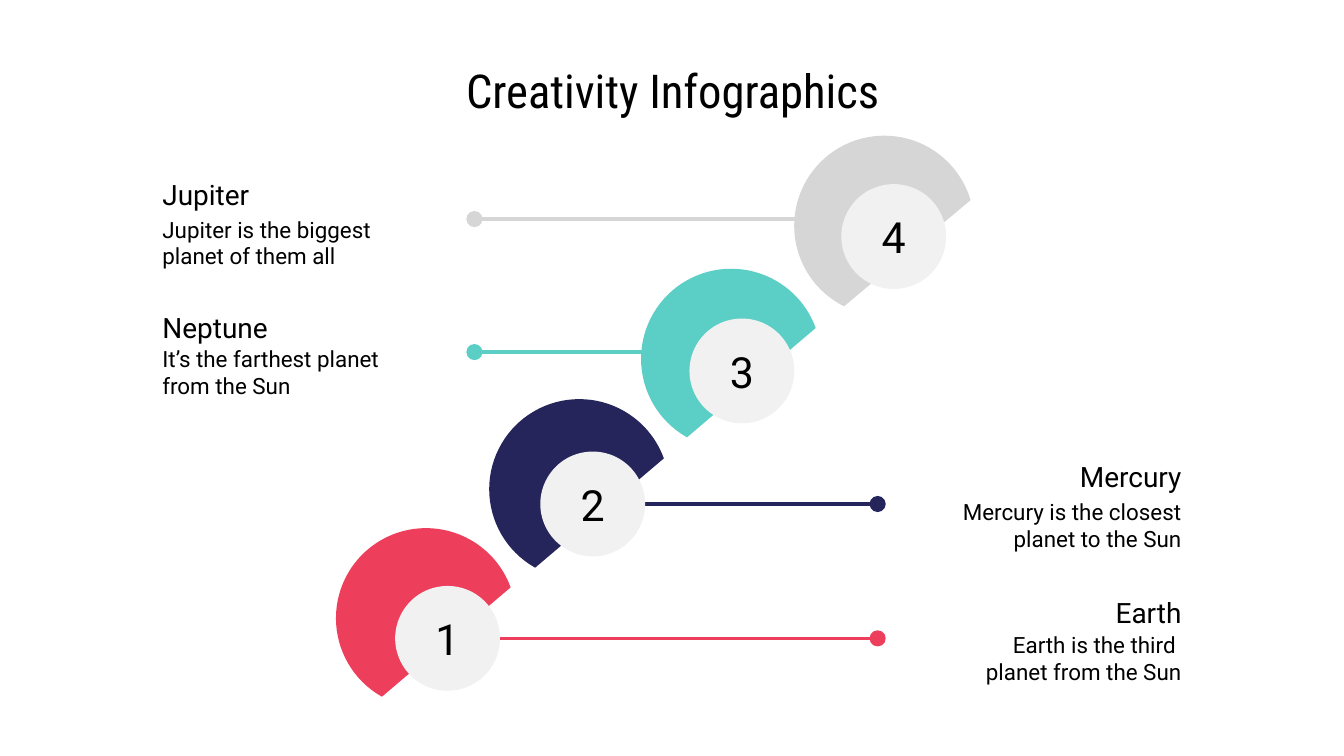
"""Build the Creativity Infographics slide with four planets on a rising staircase."""
from dataclasses import dataclass

from lxml import etree
from pptx import Presentation
from pptx.dml.color import RGBColor
from pptx.enum.shapes import MSO_CONNECTOR, MSO_SHAPE
from pptx.enum.text import MSO_ANCHOR, MSO_AUTO_SIZE, PP_ALIGN
from pptx.oxml.ns import qn
from pptx.util import Inches, Pt


@dataclass(frozen=True)
class Theme:
    red: str = "ED3F5C"
    navy: str = "25255B"
    teal: str = "5BCFC5"
    grey: str = "D6D6D6"
    badge: str = "F1F1F1"
    text: str = "000000"
    title_font: str = "Roboto Condensed"
    body_font: str = "Roboto"
    title_size: int = 25
    number_size: int = 23
    heading_size: int = 15
    body_size: int = 12


theme = Theme()
SLIDE_WIDTH = 10
DISC_RADIUS, BADGE_RADIUS, DOT_RADIUS = 0.67, 0.39, 0.06
LEFT_DOT, RIGHT_DOT = 3.53, 6.53
LEFT_TEXT, RIGHT_TEXT, TEXT_WIDTH = 1.11, 6.88, 2.01

presentation = Presentation()
presentation.slide_width = Inches(SLIDE_WIDTH)
presentation.slide_height = Inches(SLIDE_WIDTH * 9 / 16)
slide = presentation.slides.add_slide(presentation.slide_layouts[5])


def write(shape, text, size, alignment, font=theme.body_font):
    frame = shape.text_frame
    frame.text = text
    frame.word_wrap = True
    frame.auto_size = MSO_AUTO_SIZE.NONE
    frame.vertical_anchor = MSO_ANCHOR.MIDDLE
    frame.margin_left = frame.margin_right = Inches(0.1)
    frame.margin_top = frame.margin_bottom = Inches(0.1)
    for paragraph in frame.paragraphs:
        paragraph.alignment = alignment
        for run in paragraph.runs:
            run.font.name = font
            run.font.size = Pt(size)
            run.font.color.rgb = RGBColor.from_string(theme.text)


def add_round(kind, center, radius, color):
    x, y = center
    shape = slide.shapes.add_shape(
        kind, Inches(x - radius), Inches(y - radius), Inches(2 * radius), Inches(2 * radius)
    )
    shape.shadow.inherit = False
    shape.fill.solid()
    shape.fill.fore_color.rgb = RGBColor.from_string(color)
    shape.line.fill.background()
    return shape


title = slide.shapes.title
title.left, title.top = Inches(0.78), Inches(0.45)
title.width, title.height = Inches(8.45), Inches(0.44)
write(title, "Creativity Infographics", theme.title_size, PP_ALIGN.CENTER, theme.title_font)

steps = [
    ("1", theme.red, (3.17, 4.6), (119.3, 340), (3.33, 4.75), 4.75, RIGHT_DOT,
     "Earth", 4.41, "Earth is the third \nplanet from the Sun", 4.7),
    ("2", theme.navy, (4.31, 3.64), (119.3, 340), (4.41, 3.75), 3.75, RIGHT_DOT,
     "Mercury", 3.4, "Mercury is the closest planet to the Sun", 3.71),
    ("3", theme.teal, (5.44, 2.67), (119.3, 340), (5.52, 2.76), 2.62, LEFT_DOT,
     "Neptune", 2.29, "It’s the farthest planet from the Sun", 2.57),
    ("4", theme.grey, (6.58, 1.68), (116.5, 343.5), (6.65, 1.76), 1.63, LEFT_DOT,
     "Jupiter", 1.3, "Jupiter is the biggest planet of them all", 1.61),
]

for (number, color, disc_center, cut_angles, badge_center, line_y, dot_x,
     heading, heading_top, body, body_top) in steps:
    line = slide.shapes.add_connector(
        MSO_CONNECTOR.STRAIGHT,
        Inches(dot_x), Inches(line_y), Inches(disc_center[0]), Inches(line_y),
    )
    line.line.color.rgb = RGBColor.from_string(color)
    line.line.width = Pt(1.75)
    etree.SubElement(line._element.spPr, qn("a:effectLst"))

    add_round(MSO_SHAPE.OVAL, (dot_x, line_y), DOT_RADIUS, color)
    disc = add_round(MSO_SHAPE.CHORD, disc_center, DISC_RADIUS, color)
    for index, angle in enumerate(cut_angles):
        disc.adjustments[index] = angle * 0.6
    badge = add_round(MSO_SHAPE.OVAL, badge_center, BADGE_RADIUS, theme.badge)
    write(badge, number, theme.number_size, PP_ALIGN.CENTER)

    on_left = dot_x == LEFT_DOT
    text_left = LEFT_TEXT if on_left else RIGHT_TEXT
    alignment = PP_ALIGN.LEFT if on_left else PP_ALIGN.RIGHT
    for text, top, height, size in (
        (heading, heading_top, 0.29, theme.heading_size),
        (body, body_top, 0.39, theme.body_size),
    ):
        box = slide.shapes.add_textbox(
            Inches(text_left), Inches(top), Inches(TEXT_WIDTH), Inches(height)
        )
        write(box, text, size, alignment)

presentation.save("out.pptx")
